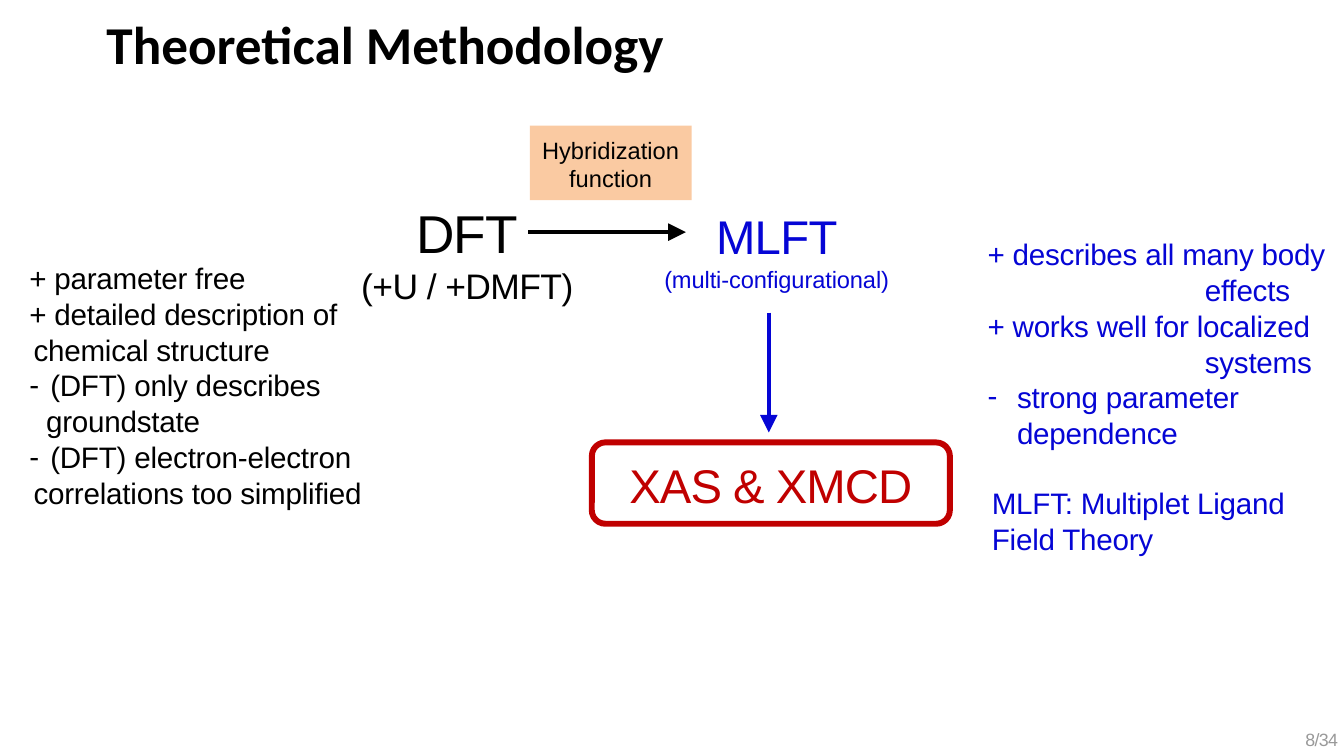
from lxml.etree import SubElement
from pptx import Presentation
from pptx.dml.color import RGBColor
from pptx.enum.shapes import MSO_CONNECTOR as Connector, MSO_SHAPE as Shape
from pptx.enum.text import MSO_ANCHOR as Anchor, MSO_AUTO_SIZE as AutoSize, PP_ALIGN as Align
from pptx.oxml.ns import qn
from pptx.util import Cm, Pt

COLORS = {"black": "000000", "blue": "0505D5", "red": "C00000",
          "orange": "F79646", "grey": "999999"}


class MethodSlide:
    """Holds the style and the slide that the elements are added to."""

    font = "Arial"

    def __init__(self, deck):
        self.slide = deck.slides.add_slide(deck.slide_layouts[3])
        self.shapes = self.slide.shapes

    def color(self, name):
        return RGBColor.from_string(COLORS[name])

    def place(self, shape, box):
        shape.left, shape.top, shape.width, shape.height = map(Cm, box)

    def frame(self, shape, anchor=Anchor.TOP, margins=(0, 0.03, 0, 0)):
        frame = shape.text_frame
        frame.word_wrap = True
        frame.auto_size = AutoSize.NONE
        frame.vertical_anchor = anchor
        (frame.margin_left, frame.margin_top,
         frame.margin_right, frame.margin_bottom) = map(Cm, margins)
        return frame

    def set_lines(self, frame, lines, color, align=Align.CENTER):
        for i, (text, size, before, tracking) in enumerate(lines):
            paragraph = frame.add_paragraph() if i else frame.paragraphs[0]
            paragraph.text = text
            paragraph.alignment = align
            paragraph.space_before = Pt(before)
            self.style(paragraph, size, color, tracking)

    def style(self, paragraph, size, color, tracking=0, name=None, bold=False):
        font = paragraph.font
        font.name, font.size, font.bold = name or self.font, Pt(size), bold
        font.color.rgb = self.color(color)
        for run in paragraph.runs:
            run._r.get_or_add_rPr().set("spc", str(tracking))

    def title(self, text, box):
        title = self.shapes.title
        self.place(title, box)
        frame = self.frame(title, margins=(0.25, 0.13, 0.25, 0.13))
        frame.text = text
        frame.paragraphs[0].alignment = Align.LEFT
        self.style(frame.paragraphs[0], 18, "black", name="Calibri", bold=True)

    def points(self, index, box, items, color):
        body = self.slide.placeholders[index]
        self.place(body, box)
        frame = self.frame(body)
        for i, (text, left, first, before, bullet) in enumerate(items):
            paragraph = frame.add_paragraph() if i else frame.paragraphs[0]
            paragraph.text = text
            paragraph.line_spacing = Pt(12)
            paragraph.space_before = Pt(before)
            props = paragraph._p.get_or_add_pPr()
            props.set("marL", str(Cm(left)))
            props.set("indent", str(Cm(first - left)))
            if bullet:
                SubElement(props, qn("a:buChar"), char=bullet)
            else:
                SubElement(props, qn("a:buNone"))
            tabs = SubElement(props, qn("a:tabLst"))
            SubElement(tabs, qn("a:tab"), pos=str(Cm(0.3)), algn="l")
            self.style(paragraph, 10, color, -5)

    def label(self, box, lines, color, align=Align.CENTER):
        textbox = self.shapes.add_textbox(*map(Cm, box))
        self.set_lines(self.frame(textbox), lines, color, align)

    def panel(self, kind, box, lines, color, fill=None, line=None):
        panel = self.shapes.add_shape(kind, *map(Cm, box))
        panel.shadow.inherit = False
        if fill:
            panel.fill.solid()
            panel.fill.fore_color.rgb = self.color(fill)
            tint = panel._element.spPr.find(".//" + qn("a:srgbClr"))
            SubElement(tint, qn("a:alpha"), val="50000")
        else:
            panel.fill.background()
        if line:
            panel.line.color.rgb = self.color(line)
            panel.line.width = Pt(2)
        else:
            panel.line.fill.background()
        self.set_lines(self.frame(panel, Anchor.MIDDLE), lines, color)

    def arrow(self, start, end, color):
        arrow = self.shapes.add_connector(Connector.STRAIGHT, *map(Cm, start + end))
        arrow.line.color.rgb = self.color(color)
        arrow.line.width = Pt(1.5)
        props = arrow._element.spPr
        SubElement(props.find(qn("a:ln")), qn("a:tailEnd"), type="triangle")
        SubElement(props, qn("a:effectLst"))


def main():
    deck = Presentation()
    deck.slide_width, deck.slide_height = Cm(16.03), Cm(9.02)
    page = MethodSlide(deck)
    page.title("Theoretical Methodology", (1.02, 0, 8.1, 1.02))
    page.points(1, (0.3, 3.07, 4.6, 3.02), [
        ("+ parameter free", 0.05, 0.05, 0.9, None),
        ("+ detailed description of\vchemical structure", 0.1, 0.05, 0.4, None),
        ("\t(DFT) only describes\vgroundstate", 0.25, 0.05, 0, "-"),
        ("\t(DFT) electron-electron\vcorrelations too simplified", 0.1, 0.05, 0.3, "-"),
    ], "black")
    page.points(2, (11.73, 2.79, 4.24, 4.34), [
        ("+ describes all many body\veffects", 2.64, 0.05, 0.9, None),
        ("+ works well for localized\vsystems", 2.64, 0.05, 0.3, None),
        ("strong parameter\vdependence", 0.4, 0.05, 0, "-"),
        ("MLFT: Multiplet Ligand Field Theory", 0.1, 0.1, 12, None),
    ], "blue")
    page.label((3.76, 2.36, 3.63, 1.32),
               [("DFT", 18, 0.9, -20), ("(+U / +DMFT)", 12, 0, -20)], "black")
    page.label((7.54, 2.44, 3.45, 1.07),
               [("MLFT", 16, 1.2, -20), ("(multi-configurational)", 8, 0.4, -5)], "blue")
    page.panel(Shape.ROUNDED_RECTANGLE, (7.06, 5.28, 4.27, 0.97),
               [("XAS & XMCD", 16, 0, -30)], "red", line="red")
    page.panel(Shape.RECTANGLE, (6.32, 1.5, 1.93, 0.89),
               [("Hybridization\vfunction", 8, 0.9, 0)], "black", fill="orange")
    page.arrow((6.3, 2.77), (8.18, 2.77), "black")
    page.arrow((9.17, 3.73), (9.17, 5.16), "blue")
    page.label((14.99, 8.66, 0.97, 0.28), [("8/34", 6, 0.7, -20)], "grey", Align.RIGHT)
    deck.save("out.pptx")


if __name__ == "__main__":
    main()
